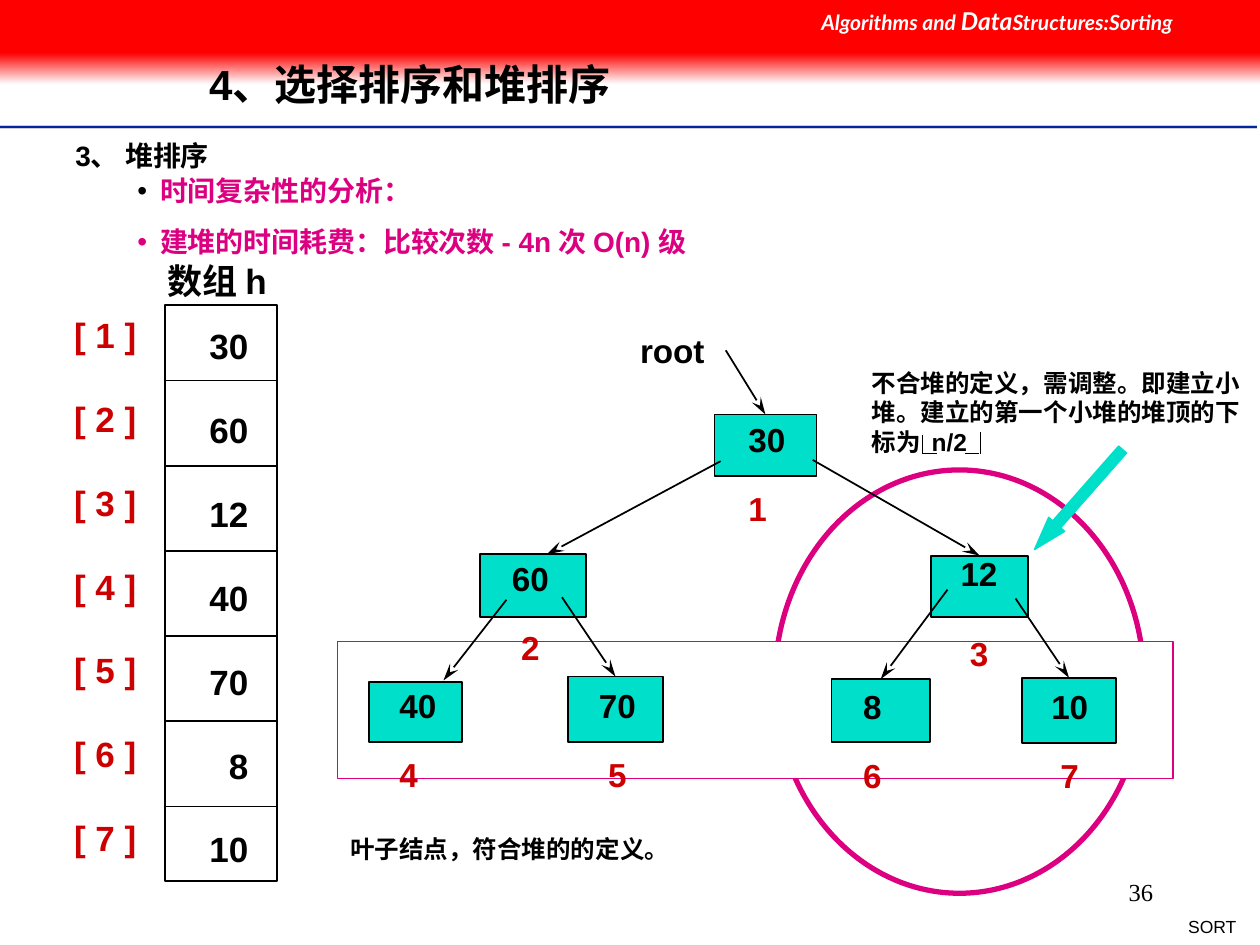
import lxml.etree
import pptx
import pptx.dml.color
import pptx.enum.shapes
import pptx.enum.text
import pptx.oxml.ns
import pptx.util

Inches, Pt, qn = pptx.util.Inches, pptx.util.Pt, pptx.oxml.ns.qn
ALIGN, ANCHOR = pptx.enum.text.PP_ALIGN, pptx.enum.text.MSO_ANCHOR
KIND = pptx.enum.shapes.MSO_SHAPE

THEME = {
    "black": "000000", "white": "FFFFFF", "red": "FF0000", "index": "CC0000",
    "magenta": "DC0081", "teal": "00DFCA", "navy": "00279F", "grey": "CECECE",
    "font": "Arial", "header_font": "Lato", "number_font": "Times New Roman",
    "title": 24, "array": 20, "node": 19, "body": 16, "note": 14,
    "header": 12, "footer": 10,
}

TITLE = "4、选择排序和堆排序"
SECTION = "3、 堆排序"
ANALYSIS = [("时间复杂性的分析：", "black"),
            ("建堆的时间耗费：比较次数 - 4n 次 O(n) 级", "magenta")]
HEADER = [[("Algorithms and ", {}), ("Data", {"size": THEME["note"]}),
           ("Structures:Sorting", {})]]
ARRAY_NAME = "数组 h"
HEAP = [30, 60, 12, 40, 70, 8, 10]
LEAF_NOTE = "叶子结点，符合堆的的定义。"
ADJUST_NOTE = [[("不合堆的定义，需调整。即建立小堆。建立的第一个小堆的堆顶的下标为", {}),
                (" ", {"tracking": 300}), ("n/2", {})]]

NODE_BOXES = [(5.67, 3.29, 0.81, 0.49), (3.81, 4.4, 0.84, 0.5),
              (7.39, 4.41, 0.77, 0.49), (2.93, 5.41, 0.74, 0.48),
              (4.51, 5.37, 0.75, 0.52), (6.6, 5.39, 0.78, 0.5),
              (8.11, 5.38, 0.75, 0.52)]
NODE_GAP, WIDE_NODE_GAP = 16.4, 22.9
NODE_LABELS = [(5.86, 3.29, ALIGN.LEFT, NODE_GAP), (3.96, 4.39, ALIGN.CENTER, NODE_GAP),
               (7.52, 4.35, ALIGN.CENTER, WIDE_NODE_GAP), (3.09, 5.4, ALIGN.LEFT, NODE_GAP),
               (4.65, 5.4, ALIGN.CENTER, NODE_GAP), (6.77, 5.41, ALIGN.LEFT, NODE_GAP),
               (8.24, 5.41, ALIGN.CENTER, NODE_GAP)]
POINTERS = [(5.76, 2.78, 6.03, 3.31, True), (5.72, 3.66, 4.34, 4.4, False),
            (6.45, 3.65, 7.75, 4.41, True), (4.02, 4.76, 3.52, 5.4, False),
            (4.46, 4.74, 4.94, 5.35, True), (7.52, 4.68, 7, 5.35, True),
            (8.06, 4.75, 8.53, 5.36, True)]
FLOOR_MARKS = [(7.32, 3.45, 7.32, 3.6), (7.32, 3.6, 7.44, 3.6),
               (7.78, 3.43, 7.78, 3.6), (7.66, 3.6, 7.77, 3.6)]
HEADER_RULES = [(1.01, "grey", 2), (1.01, "navy", 1), (1.03, "white", 1)]
ARRAY_LEFT, ARRAY_RIGHT, FIRST_DIVIDER, LAST_DIVIDER = 1.3, 2.2, 3.02, 6.4
ROW_SPACE = 23.9

deck = pptx.Presentation()
deck.slide_width, deck.slide_height = Inches(10), Inches(7.5)
slide = deck.slides.add_slide(deck.slide_layouts[1])


def rgb(name):
    return pptx.dml.color.RGBColor.from_string(THEME[name])


def place_in_front(placeholder, box):
    placeholder.left, placeholder.top, placeholder.width, placeholder.height = map(Inches, box)
    slide.shapes._spTree.append(placeholder._element)


def write(frame, lines, size="body", color="black", font="font", bold=True,
          italic=False, align=ALIGN.LEFT, anchor=ANCHOR.TOP, wrap=True,
          inset=0.1, gap=0, spacing=None):
    frame.auto_size = pptx.enum.text.MSO_AUTO_SIZE.NONE
    frame.word_wrap, frame.vertical_anchor = wrap, anchor
    frame.margin_left = frame.margin_right = Inches(inset)
    frame.margin_top = frame.margin_bottom = Inches(inset / 2)
    for row, line in enumerate([lines] if isinstance(lines, str) else lines):
        paragraph = frame.add_paragraph() if row else frame.paragraphs[0]
        paragraph.alignment, paragraph.line_spacing = align, spacing
        paragraph.space_before = Pt(gap if row else 0)
        for words, change in [(line, {})] if isinstance(line, str) else line:
            run = paragraph.add_run()
            run.text = words
            run.font.name = THEME[font]
            run.font.size = Pt(change.get("size", THEME[size]))
            run.font.bold, run.font.italic = bold, italic
            run.font.color.rgb = rgb(change.get("color", color))
            if "tracking" in change:
                run._r.get_or_add_rPr().set("spc", str(change["tracking"]))


def label(box, lines, **style):
    write(slide.shapes.add_textbox(*map(Inches, box)).text_frame, lines, **style)


def draw(kind, box, fill=None, line=None, width=1):
    shape = slide.shapes.add_shape(kind, *map(Inches, box))
    shape.shadow.inherit = False
    if fill:
        shape.fill.solid()
        shape.fill.fore_color.rgb = rgb(fill)
    else:
        shape.fill.background()
    if line:
        shape.line.color.rgb = rgb(line)
        shape.line.width = Pt(width)
    else:
        shape.line.fill.background()
    return shape


def rule(ends, color="black", width=1, arrow=False, target=None):
    line = slide.shapes.add_connector(
        pptx.enum.shapes.MSO_CONNECTOR.STRAIGHT, *map(Inches, ends))
    line.line.color.rgb = rgb(color)
    line.line.width = Pt(width)
    properties = line._element.spPr
    if arrow:
        lxml.etree.SubElement(properties.find(qn("a:ln")), qn("a:tailEnd"),
                              type="stealth", w="med", len="lg")
    lxml.etree.SubElement(properties, qn("a:effectLst"))
    if target is not None:
        line.end_connect(target, 0)


def add_bullet(paragraph, color):
    properties = paragraph._p.get_or_add_pPr()
    properties.set("marL", str(Inches(1.17)))
    properties.set("indent", str(Inches(-0.18)))
    tint = lxml.etree.SubElement(properties, qn("a:buClr"))
    lxml.etree.SubElement(tint, qn("a:srgbClr"), val=THEME[color])
    lxml.etree.SubElement(properties, qn("a:buFont"), typeface=THEME["font"])
    lxml.etree.SubElement(properties, qn("a:buChar"), char="•")


for y, color, width in HEADER_RULES:
    rule((0, y, 9.98, y), color, width)
fade = draw(KIND.RECTANGLE, (0, 0.42, 10, 0.25))
fade.fill.gradient()
fade.fill.gradient_angle = 270
for stop, color, position in zip(fade.fill.gradient_stops, ("red", "white"), (0, 1)):
    stop.color.rgb, stop.position = rgb(color), position
draw(KIND.RECTANGLE, (0, 0, 10, 0.42), "red")
label((6.42, 0, 3.58, 0.34), HEADER, size="header", font="header_font",
      color="white", italic=True)
label((9.32, 7.22, 0.59, 0.27), "SORT", size="footer", bold=False,
      align=ALIGN.RIGHT, wrap=False)
label((7.17, 6.83, 2.08, 0.5), "36", size="note", font="number_font", bold=False,
      align=ALIGN.RIGHT, anchor=ANCHOR.MIDDLE)

draw(KIND.OVAL, (6.15, 3.73, 2.93, 3.36), "white", "magenta", 3)
draw(KIND.RECTANGLE, (2.68, 5.09, 6.63, 1.09), "white", "magenta", 0.75)

title, analysis = slide.shapes.title, slide.placeholders[1]
place_in_front(title, (1.56, 0.32, 7.55, 0.74))
write(title.text_frame, TITLE, size="title", anchor=ANCHOR.MIDDLE, spacing=0.9)
label((0.5, 1.05, 2.25, 0.37), SECTION)
place_in_front(analysis, (0, 1.33, 9.75, 0.81))
write(analysis.text_frame, [words for words, _ in ANALYSIS], color="magenta", gap=10)
for paragraph, (_, color) in zip(analysis.text_frame.paragraphs, ANALYSIS):
    add_bullet(paragraph, color)

nodes = [draw(KIND.RECTANGLE, box, "teal", "black") for box in NODE_BOXES]
for node, (*ends, joined) in zip(nodes, POINTERS):
    rule(ends, arrow=True, target=node if joined else None)
for index, (value, (x, y, align, gap)) in enumerate(zip(HEAP, NODE_LABELS), 1):
    label((x, y, 0.5, 0.95), [str(value), [(str(index), {"color": "index"})]],
          size="node", align=align, inset=0.08, gap=gap)
label((5, 2.58, 0.75, 0.4), "root", size="node", inset=0.08)

draw(KIND.RECTANGLE, (1.31, 2.42, 0.89, 4.57), line="black")
dividers = len(HEAP) - 1
for row in range(dividers):
    y = FIRST_DIVIDER + row * (LAST_DIVIDER - FIRST_DIVIDER) / (dividers - 1)
    rule((ARRAY_LEFT, y, ARRAY_RIGHT, y))
label((0.49, 2.44, 0.7, 4.43), [f"[ {row} ]" for row in range(1, len(HEAP) + 1)],
      size="array", color="index", wrap=False, gap=ROW_SPACE)
label((1.47, 2.53, 0.6, 4.44), [str(value) for value in HEAP], size="array",
      align=ALIGN.RIGHT, gap=ROW_SPACE)
label((1.23, 2.01, 1.06, 0.43), ARRAY_NAME, size="array", wrap=False)

label((2.68, 6.57, 3.22, 0.34), LEAF_NOTE, size="note")
label((6.82, 2.87, 3.18, 0.8), ADJUST_NOTE, size="note")
for ends in FLOOR_MARKS:
    rule(ends, width=0.75)
adjust_arrow = draw(KIND.LEFT_ARROW, (8.03, 3.88, 1.06, 0.17), "teal", "teal", 0.75)
adjust_arrow.adjustments[0], adjust_arrow.adjustments[1] = 0.5, 1.58
adjust_arrow.rotation = 311.4

deck.save("out.pptx")
